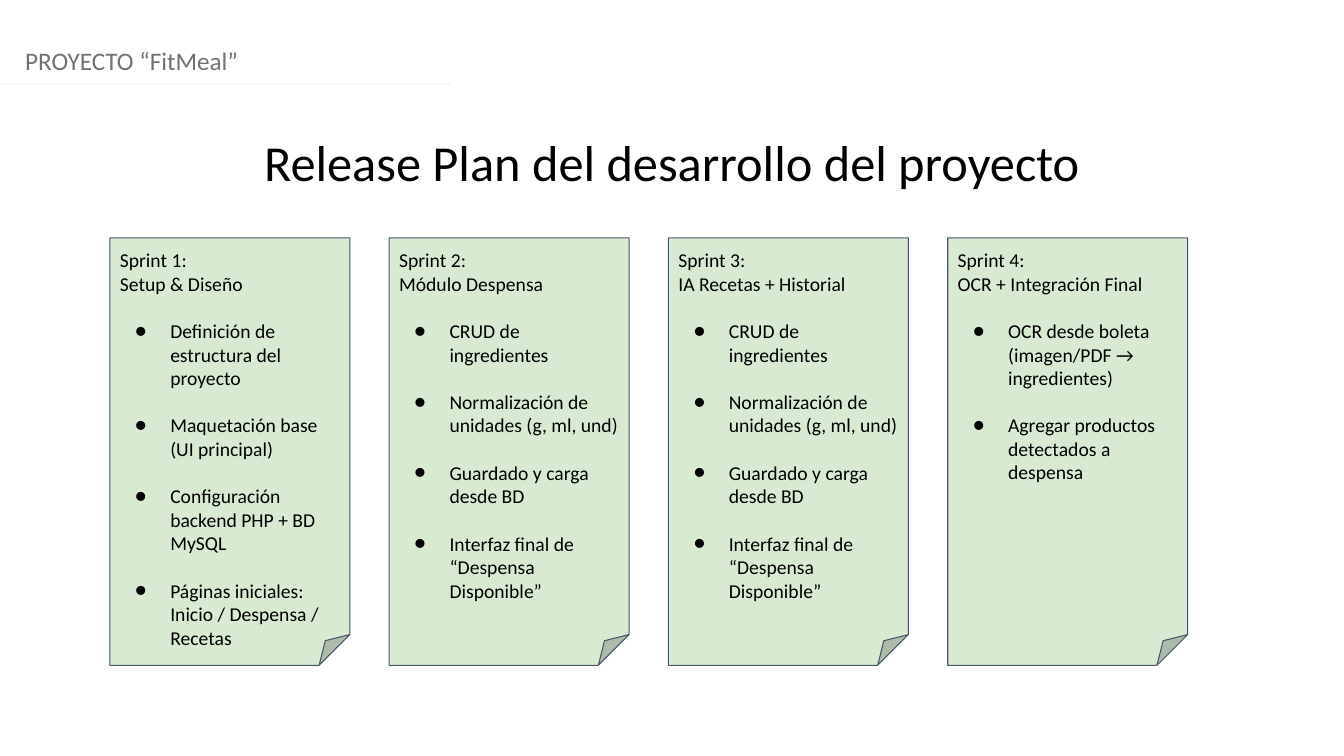
from lxml.etree import SubElement as Sub
from pptx import Presentation
from pptx.dml.color import RGBColor as RGB
from pptx.enum.shapes import MSO_CONNECTOR as LINE, MSO_SHAPE as SHAPE
from pptx.enum.text import MSO_ANCHOR as ANCHOR, MSO_AUTO_SIZE as FIT, PP_ALIGN as ALIGN
from pptx.oxml.ns import qn
from pptx.util import Inches, Pt

HUES = {"ink": "000000", "gray": "757070", "rule": "F5F7FC",
        "card": "D9EAD3", "edge": "44546A"}
FONT = "Calibri"

# Card grid, in percent of the slide's size
LEFT, TOP, WIDE, TALL, STEP = 8.18, 31.47, 17.85, 56.53, 20.78

PANTRY = ["CRUD de ingredientes", "Normalización de unidades (g, ml, und)",
          "Guardado y carga desde BD", "Interfaz final de “Despensa Disponible”"]
SPRINTS = [
    ("Setup & Diseño", ["Definición de estructura del proyecto",
                        "Maquetación base (UI principal)",
                        "Configuración backend PHP + BD MySQL",
                        "Páginas iniciales: Inicio / Despensa / Recetas"]),
    ("Módulo Despensa", PANTRY),
    ("IA Recetas + Historial", PANTRY),
    ("OCR + Integración Final", ["OCR desde boleta (imagen/PDF → ingredientes)",
                                 "Agregar productos detectados a despensa"]),
]


class Deck:
    def __init__(self):
        self.prs = Presentation()
        self.prs.slide_width, self.prs.slide_height = Inches(13.33), Inches(7.5)
        self.slide = self.prs.slides.add_slide(self.prs.slide_layouts[5])
        self.shapes = self.slide.shapes

    def area(self, *shares):
        sides = (self.prs.slide_width, self.prs.slide_height) * 2
        return [round(side * share / 100) for side, share in zip(sides, shares)]

    def style(self, para, size, hue):
        for run in para.runs:
            run.font.name, run.font.size = FONT, Pt(size)
            run.font.color.rgb = RGB.from_string(HUES[hue])
        for brk in para._p.findall(qn("a:br")):
            Sub(brk, qn("a:rPr"), sz=str(size * 100))

    def fill(self, shape, text, size, hue, align):
        frame = shape.text_frame
        frame.text = text
        frame.word_wrap, frame.auto_size = True, FIT.SHAPE_TO_FIT_TEXT
        frame.vertical_anchor = ANCHOR.TOP
        frame.paragraphs[0].alignment = align
        self.style(frame.paragraphs[0], size, hue)

    def label(self, text, *shares):
        box = self.shapes.add_textbox(*self.area(*shares))
        self.fill(box, text, 18, "gray", ALIGN.LEFT)

    def title(self, text, *shares):
        head = self.shapes.title
        head.left, head.top, head.width, head.height = self.area(*shares)
        self.fill(head, text, 36, "ink", ALIGN.CENTER)

    def rule(self, *shares):
        line = self.shapes.add_connector(LINE.STRAIGHT, *self.area(*shares))
        line.line.color.rgb = RGB.from_string(HUES["rule"])
        line.line.width = Pt(1.25)
        Sub(line._element.spPr, qn("a:effectLst"))

    def bullet(self, para):
        props = para._p.get_or_add_pPr()
        props.set("marL", str(Inches(0.5)))
        props.set("indent", str(Inches(-0.35)))
        Sub(Sub(props, qn("a:buClr")), qn("a:srgbClr"), val=HUES["ink"])
        Sub(props, qn("a:buFont"), typeface=FONT)
        Sub(props, qn("a:buChar"), char="●")
        para.space_before = Pt(17)

    def card(self, head, items, *shares):
        note = self.shapes.add_shape(SHAPE.FOLDED_CORNER, *self.area(*shares))
        # Size of the folded corner
        folds = note._element.spPr.find(qn("a:prstGeom")).get_or_add_avLst()
        Sub(folds, qn("a:gd"), name="adj", fmla="val 12800")
        note.shadow.inherit = False
        note.fill.solid()
        note.fill.fore_color.rgb = RGB.from_string(HUES["card"])
        note.line.color.rgb = RGB.from_string(HUES["edge"])
        note.line.width = Pt(0.75)
        frame = note.text_frame
        frame.word_wrap, frame.vertical_anchor = True, ANCHOR.TOP
        frame.margin_left = frame.margin_right = Inches(0.1)
        frame.margin_top = frame.margin_bottom = Inches(0.1)
        frame.text = head
        for item in items:
            para = frame.add_paragraph()
            para.text = item
            self.bullet(para)
        for para in frame.paragraphs:
            para.alignment = ALIGN.LEFT
            self.style(para, 14, "ink")


def main():
    deck = Deck()
    # Header and title
    deck.label("PROYECTO “FitMeal”", 1.13, 5.33, 100, 5.33)
    deck.title("Release Plan del desarrollo del proyecto", 0, 16.67, 100, 11.73)
    deck.rule(0, 11.07, 33.53, 11.07)
    # One card per sprint
    for col, (name, items) in enumerate(SPRINTS):
        deck.card(f"Sprint {col + 1}:\v{name}", items,
                  LEFT + col * STEP, TOP, WIDE, TALL)
    deck.prs.save("out.pptx")


if __name__ == "__main__":
    main()
